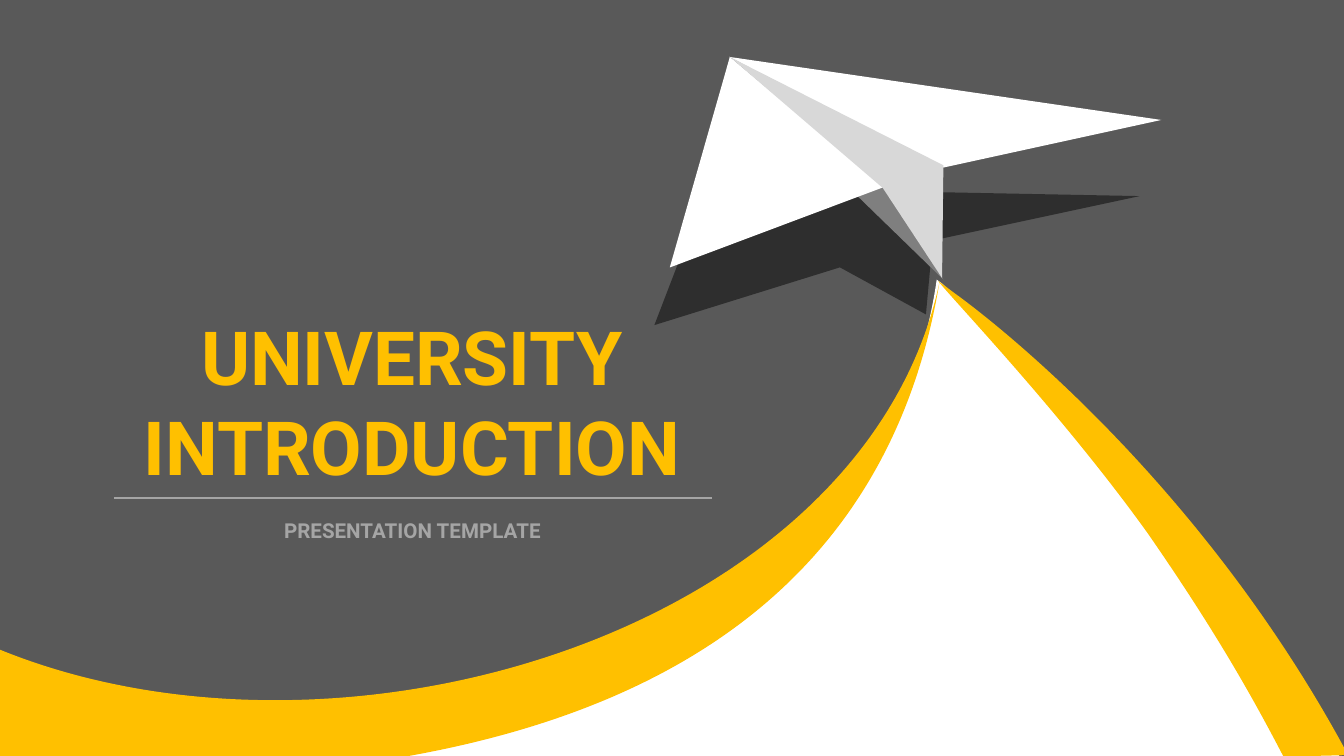
from lxml import etree
from pptx import Presentation
from pptx.dml.color import RGBColor
from pptx.enum import text
from pptx.oxml import ns
from pptx.util import Pt

SLATE = RGBColor(0x59, 0x59, 0x59)
DARK = RGBColor(0x2E, 0x2E, 0x2E)
GREY = RGBColor(0x7F, 0x7F, 0x7F)
SILVER = RGBColor(0xA5, 0xA5, 0xA5)
PALE = RGBColor(0xD8, 0xD8, 0xD8)
WHITE = RGBColor(0xFF, 0xFF, 0xFF)
GOLD = RGBColor(0xFF, 0xC0, 0x00)


def draw(shapes, fill, start, *moves):
    """Fill an outline; a move is a point (x, y) or a cubic curve of six numbers."""
    pen = shapes.build_freeform(Pt(start[0]), Pt(start[1]))
    pen.add_line_segments([(Pt(m[-2]), Pt(m[-1])) for m in moves], close=True)
    form = pen.convert_to_shape()
    form.shadow.inherit = False
    form.fill.solid()
    form.fill.fore_color.rgb = fill
    form.line.fill.background()
    # Turn the segments of curved moves into Bezier curves
    for step, move in zip(list(form._element.iter(ns.qn("a:lnTo"))), moves):
        if len(move) == 6:
            step.clear()
            curve = etree.Element(ns.qn("a:cubicBezTo"))
            for x, y in zip(move[::2], move[1::2]):
                etree.SubElement(curve, ns.qn("a:pt"), x=str(Pt(x) - form.left),
                                 y=str(Pt(y) - form.top))
            step.getparent().replace(step, curve)


def write(holder, box, lines, size, color):
    holder.left, holder.top, holder.width, holder.height = map(Pt, box)
    frame = holder.text_frame
    frame.text = "\n".join(lines)
    frame.word_wrap = True
    frame.auto_size = text.MSO_AUTO_SIZE.NONE
    frame.vertical_anchor = text.MSO_ANCHOR.MIDDLE
    for para in frame.paragraphs:
        para.alignment = text.PP_ALIGN.CENTER
        para.space_before = Pt(0)
        para.font.name = "Roboto"
        para.font.size = Pt(size)
        para.font.bold = True
        para.font.color.rgb = color


deck = Presentation()
deck.slide_width, deck.slide_height = Pt(720), Pt(405)
slide = deck.slides.add_slide(deck.slide_layouts[0])
slide.background.fill.solid()
slide.background.fill.fore_color.rgb = SLATE

# White trail
draw(slide.shapes, WHITE, (504.7, 151.9), (501.8, 149.8),
     (501.8, 149.8, 484.6, 291.6, 383, 334.1),
     (280.8, 377.3, 69.8, 396, -0.7, 349.9),
     (-0.7, 405.4), (717.8, 405.4),
     (717.8, 405.4, 620.6, 265.7, 583.9, 230.4),
     (572.4, 220.3, 561.6, 206.6, 550.1, 196.6),
     (524.9, 171.4, 504.7, 151.9, 504.7, 151.9))

# Paper plane: shadow, inner fold, left wing, right wing, keel
plane = slide.shapes.add_group_shape().shapes
draw(plane, DARK, (485.3, 92.9), (365, 136.8), (350.6, 174.2), (450, 143.3),
     (496.1, 168.5), (499.7, 128.9), (610.6, 105.1), (502.6, 103))
draw(plane, GREY, (473, 100.1), (459.4, 105.1), (505.4, 149.8))
draw(plane, WHITE, (473.8, 100.1), (391, 30.5), (358.8, 143.3))
draw(plane, WHITE, (505.4, 89.8), (390.6, 30.5), (622.1, 64.3))
draw(plane, PALE, (505.4, 88.6), (400.3, 35.3), (391, 30.5), (473, 100.8), (504.7, 149))

# Gold right edge of the trail
draw(slide.shapes, GOLD, (511.2, 157), (511.2, 157, 636.5, 244.8, 722.2, 404.6),
     (687.6, 405.4), (671.8, 375.1, 652.3, 339.8, 614.9, 285.8),
     (567.4, 219.6, 506.2, 156.2, 502.6, 150.5))

write(slide.shapes.title, (52.5, 162.3, 336.3, 104.4),
      ["UNIVERSITY", "INTRODUCTION"], 40, GOLD)
write(slide.placeholders[1], (82, 273.6, 278, 20.9), ["PRESENTATION TEMPLATE"], 11, SILVER)

rule = slide.shapes.add_connector(1, Pt(61.2), Pt(267), Pt(381.2), Pt(267))
rule.line.color.rgb = SILVER
rule.line.width = Pt(1)
etree.SubElement(rule._element.spPr, ns.qn("a:effectLst"))

# Gold left edge of the trail
draw(slide.shapes, GOLD, (-2.2, 349.9), (-1.4, 349.2, -1.4, 348.5, -0.7, 347.8),
     (184.3, 423.4, 463.7, 337, 503.3, 151.2),
     (460.1, 409, 181.4, 423.4, -2.2, 416.2))

deck.save("out.pptx")
